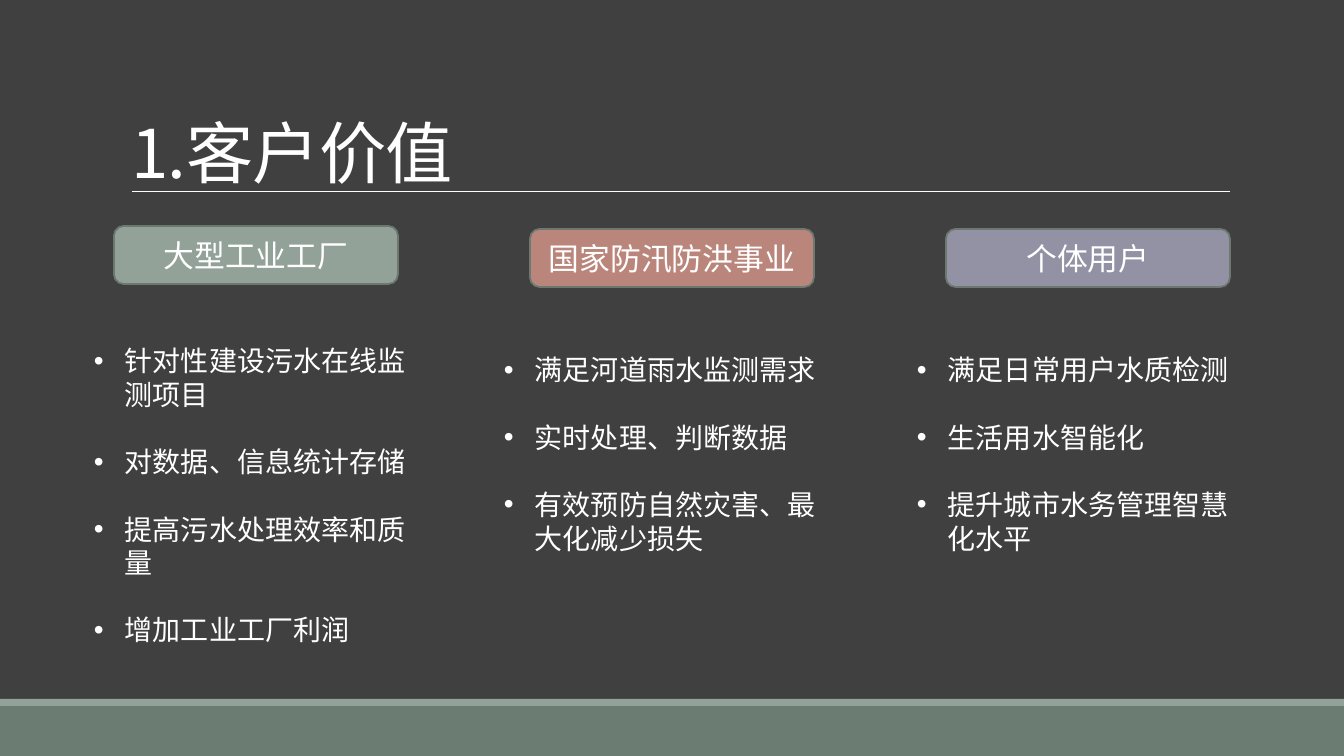
import pptx
import pptx.dml.color
import pptx.enum.shapes
import pptx.enum.text
import pptx.oxml.ns
import pptx.util
from lxml import etree

# Content
TITLE = "1.客户价值"
GROUPS = [
    {"name": "大型工业工厂", "color": "sage", "badge_top": 226, "list_at": (84, 339),
     "points": ["针对性建设污水在线监测项目", "对数据、信息统计存储",
                "提高污水处理效率和质量", "增加工业工厂利润"]},
    {"name": "国家防汛防洪事业", "color": "clay", "badge_top": 229, "list_at": (494, 348),
     "points": ["满足河道雨水监测需求", "实时处理、判断数据",
                "有效预防自然灾害、最大化减少损失"]},
    {"name": "个体用户", "color": "lilac", "badge_top": 229, "list_at": (907, 348),
     "points": ["满足日常用户水质检测", "生活用水智能化",
                "提升城市水务管理智慧化水平"]},
]

# Format
COLORS = {"back": "404040", "green": "6B7D72", "sage": "93A299", "clay": "BA867C",
          "lilac": "9292A4", "edge": "6D7871", "white": "FFFFFF"}
FONT = "Noto Sans CJK SC"
SLIDE_W, SLIDE_H = 1344, 756
BANDS = [("green", 706, 50), ("sage", 699, 7)]
BADGE_LEFT, BADGE_PITCH, BADGE_W, BADGE_H = 114, 416, 284, 58
LIST_W, LINE_PX, INDENT = 336, 34, 31
LIST_FORMAT = {"line_spacing": pptx.util.Pt(24)}
SHAPES = pptx.enum.shapes.MSO_SHAPE
ALIGN = pptx.enum.text.PP_ALIGN
ANCHOR = pptx.enum.text.MSO_ANCHOR


def px(n):
    return pptx.util.Emu(round(n * 914400 / 100.8))


def box(left, top, width, height):
    return [px(n) for n in (left, top, width, height)]


def rgb(name):
    return pptx.dml.color.RGBColor.from_string(COLORS[name])


def write(paragraph, text, size, **paragraph_format):
    for key, value in paragraph_format.items():
        setattr(paragraph, key, value)
    run = paragraph.add_run()
    run.text = text
    for key, value in {"size": pptx.util.Pt(size), "name": FONT}.items():
        setattr(run.font, key, value)
    run.font.color.rgb = rgb("white")
    properties = run.font._element
    east_asian = etree.SubElement(properties, pptx.oxml.ns.qn("a:ea"))
    east_asian.set("typeface", FONT)
    return properties


def add_bullet(paragraph):
    properties = paragraph._p.get_or_add_pPr()
    properties.set("marL", str(px(INDENT)))
    properties.set("indent", str(-px(INDENT)))
    for tag, key, value in (("a:buFont", "typeface", "Arial"), ("a:buChar", "char", "•")):
        etree.SubElement(properties, pptx.oxml.ns.qn(tag)).set(key, value)


def add_block(kind, place, color):
    block = slide.shapes.add_shape(kind, *box(*place))
    block.shadow.inherit = False
    block.fill.solid()
    block.fill.fore_color.rgb = rgb(color)
    block.line.fill.background()
    return block


deck = pptx.Presentation()
deck.slide_width, deck.slide_height = px(SLIDE_W), px(SLIDE_H)
slide = deck.slides.add_slide(deck.slide_layouts[5])
slide.background.fill.solid()
slide.background.fill.fore_color.rgb = rgb("back")

# Bands at the foot
for color, top, height in BANDS:
    add_block(SHAPES.RECTANGLE, (0, top, SLIDE_W, height), color)

# Title and its rule
rule = slide.shapes.add_connector(pptx.enum.shapes.MSO_CONNECTOR.STRAIGHT,
                                  px(132), px(191), px(1230), px(191))
rule.line.color.rgb = rgb("white")
rule.line.width = pptx.util.Pt(0.5)
etree.SubElement(rule._element.spPr, pptx.oxml.ns.qn("a:effectLst"))

title = slide.shapes.title
title.left, title.top, title.width, title.height = box(121, 37, 1109, 160)
for key, value in {"vertical_anchor": ANCHOR.BOTTOM, "word_wrap": True,
                   "auto_size": pptx.enum.text.MSO_AUTO_SIZE.NONE}.items():
    setattr(title.text_frame, key, value)
title_run = write(title.text_frame.paragraphs[0], TITLE, 48,
                  alignment=ALIGN.LEFT, line_spacing=0.85)
title_run.set("spc", "-50")

# One badge and one list per customer group
for column, group in enumerate(GROUPS):
    badge = add_block(SHAPES.FLOWCHART_ALTERNATE_PROCESS,
                      (BADGE_LEFT + column * BADGE_PITCH, group["badge_top"],
                       BADGE_W, BADGE_H), group["color"])
    badge.line.color.rgb = rgb("edge")
    badge.line.width = pptx.util.Pt(1.25)
    badge.text_frame.vertical_anchor = ANCHOR.MIDDLE
    write(badge.text_frame.paragraphs[0], group["name"], 22, alignment=ALIGN.CENTER)

    height = LINE_PX * (2 * len(group["points"]) + 1)
    points = slide.shapes.add_textbox(*box(*group["list_at"], LIST_W, height)).text_frame
    points.word_wrap = True
    for i, text in enumerate(group["points"]):
        paragraph = points.add_paragraph() if i else points.paragraphs[0]
        add_bullet(paragraph)
        write(paragraph, text, 20, space_before=pptx.util.Pt(24 if i else 0), **LIST_FORMAT)

deck.save("out.pptx")
